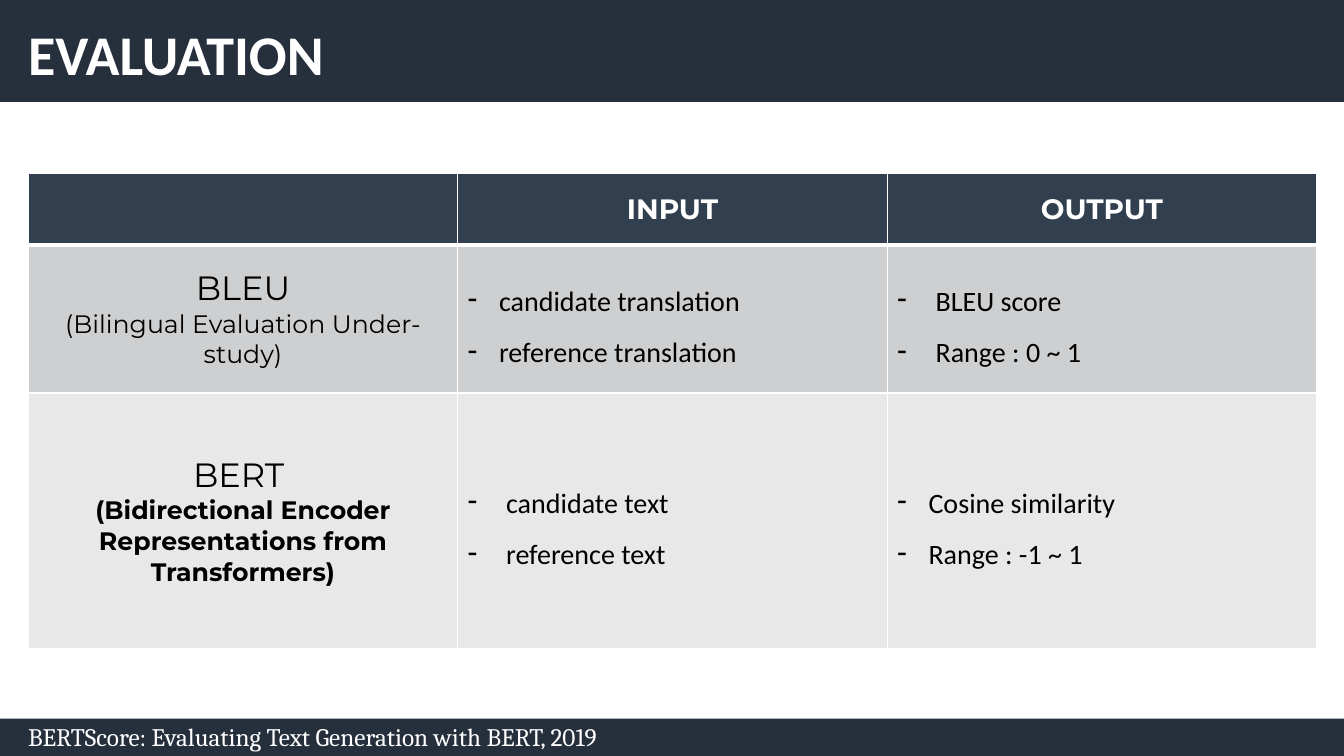
import pptx
import pptx.dml.color
import pptx.enum.shapes
import pptx.enum.text
import pptx.oxml
import pptx.oxml.ns
import pptx.util

Inches = pptx.util.Inches
Pt = pptx.util.Pt
Align = pptx.enum.text.PP_ALIGN
Anchor = pptx.enum.text.MSO_ANCHOR


def color(value):
    return pptx.dml.color.RGBColor.from_string(value)


class EvaluationSlide:
    BAR = "262F3C"
    HEADER = "323F4F"
    ROW_FILLS = ["CECFD0", "E8E8E9"]
    WHITE = "FFFFFF"
    BLACK = "000000"

    def __init__(self, presentation):
        self.slide = presentation.slides.add_slide(presentation.slide_layouts[5])

    def set_text(self, paragraph, text, size, name, fill, bold=False, align=Align.LEFT):
        paragraph.text = text
        paragraph.alignment = align
        font = paragraph.font
        font.size = Pt(size)
        font.name = name
        font.bold = bold
        font.color.rgb = color(fill)

    def bar(self, top, height):
        shape = self.slide.shapes.add_shape(
            pptx.enum.shapes.MSO_SHAPE.RECTANGLE,
            0, Inches(top), Inches(13.33), Inches(height))
        shape.shadow.inherit = False
        shape.fill.solid()
        shape.fill.fore_color.rgb = color(self.BAR)
        shape.line.fill.background()

    def title(self, text):
        title = self.slide.shapes.title
        title.left, title.top = Inches(0.18), Inches(0.14)
        title.width, title.height = Inches(3.16), Inches(0.77)
        frame = title.text_frame
        frame.word_wrap = False
        frame.auto_size = pptx.enum.text.MSO_AUTO_SIZE.NONE
        frame.vertical_anchor = Anchor.TOP
        self.set_text(frame.paragraphs[0], text, 40, "Calibri", self.WHITE, bold=True)
        self.slide.shapes._spTree.append(title._element)

    def citation(self, text):
        box = self.slide.shapes.add_textbox(
            Inches(0.18), Inches(7.11), Inches(12.26), Inches(0.39))
        box.text_frame.word_wrap = True
        self.set_text(box.text_frame.paragraphs[0], text, 18, "Cambria", self.WHITE)

    def table(self, column_width, row_heights):
        table = self.slide.shapes.add_table(
            len(row_heights), 3, Inches(0.28), Inches(1.72),
            Inches(3 * column_width), Inches(sum(row_heights))).table
        table.horz_banding = False
        for column in table.columns:
            column.width = Inches(column_width)
        for row, height in zip(table.rows, row_heights):
            row.height = Inches(height)
        for index, row in enumerate(table.rows):
            for cell in row.cells:
                cell.vertical_anchor = Anchor.MIDDLE
                cell.fill.solid()
                cell.fill.fore_color.rgb = color(([self.HEADER] + self.ROW_FILLS)[index])
                self.borders(cell, top=3 if index == 1 else 1, bottom=3 if index == 0 else 1)
        return table

    def borders(self, cell, top, bottom):
        properties = cell._tc.get_or_add_tcPr()
        widths = {"lnL": 1, "lnR": 1, "lnT": top, "lnB": bottom}
        for position, (tag, width) in enumerate(widths.items()):
            properties.insert(position, pptx.oxml.parse_xml(
                f'<a:{tag} {pptx.oxml.ns.nsdecls("a")} w="{Pt(width)}"><a:solidFill>'
                f'<a:srgbClr val="{self.WHITE}"/></a:solidFill></a:{tag}>'))

    def heading(self, cell, text):
        self.set_text(cell.text_frame.paragraphs[0], text, 20, "Montserrat", self.WHITE,
                      bold=True, align=Align.CENTER)

    def metric(self, cell, name, meaning, bold):
        frame = cell.text_frame
        self.set_text(frame.paragraphs[0], name, 24, "Montserrat", self.BLACK,
                      align=Align.CENTER)
        self.set_text(frame.add_paragraph(), meaning, 18, "Montserrat", self.BLACK,
                      bold=bold, align=Align.CENTER)

    def dashes(self, cell, items, indent):
        frame = cell.text_frame
        for index, item in enumerate(items):
            paragraph = frame.add_paragraph() if index else frame.paragraphs[0]
            properties = paragraph._p.get_or_add_pPr()
            properties.set("marL", str(Inches(indent)))
            properties.set("indent", str(-Inches(indent)))
            properties.append(pptx.oxml.parse_xml(
                f'<a:buChar {pptx.oxml.ns.nsdecls("a")} char="-"/>'))
            paragraph.line_spacing = 1.5
            self.set_text(paragraph, item, 20, "Calibri", self.BLACK)


def main():
    presentation = pptx.Presentation()
    presentation.slide_width = Inches(13.33)
    presentation.slide_height = Inches(7.5)

    page = EvaluationSlide(presentation)
    page.bar(0, 1.01)
    page.title("EVALUATION")
    page.bar(7.13, 0.37)
    page.citation("BERTScore: Evaluating Text Generation with BERT, 2019")

    table = page.table(4.26, [0.71, 1.47, 2.54])
    page.heading(table.cell(0, 1), "INPUT")
    page.heading(table.cell(0, 2), "OUTPUT")

    page.metric(table.cell(1, 0), "BLEU", "(Bilingual Evaluation Under-study)", bold=False)
    page.dashes(table.cell(1, 1), ["candidate translation", "reference translation"], 0.31)
    page.dashes(table.cell(1, 2), ["BLEU score", "Range : 0 ~ 1"], 0.38)

    page.metric(table.cell(2, 0), "BERT ",
                "(Bidirectional Encoder Representations from Transformers)", bold=True)
    page.dashes(table.cell(2, 1), ["candidate text", "reference text"], 0.38)
    page.dashes(table.cell(2, 2), ["Cosine similarity", "Range : -1 ~ 1"], 0.31)

    presentation.save("out.pptx")


if __name__ == "__main__":
    main()
